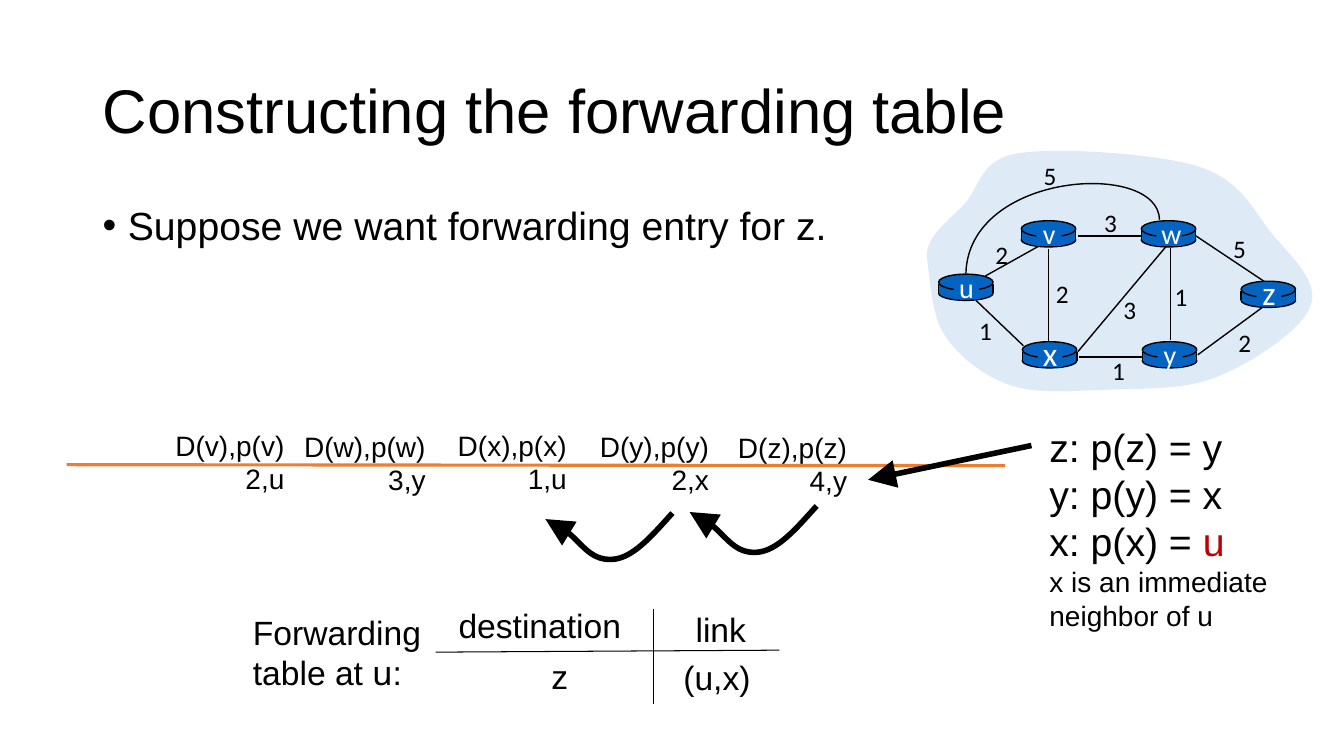
from lxml import etree
from pptx import Presentation
from pptx.dml.color import RGBColor
from pptx.enum.shapes import MSO_CONNECTOR, MSO_SHAPE
from pptx.enum.text import MSO_ANCHOR, MSO_AUTO_SIZE, PP_ALIGN
from pptx.oxml.ns import qn
from pptx.util import Inches, Pt

BLACK = RGBColor(0x00, 0x00, 0x00)
WHITE = RGBColor(0xFF, 0xFF, 0xFF)
RED = RGBColor(0xC0, 0x00, 0x00)
ORANGE = RGBColor(0xED, 0x7D, 0x31)
ROUTER_BLUE = RGBColor(0x05, 0x63, 0xC1)
CLOUD_BLUE = RGBColor(0xDE, 0xEB, 0xF7)

prs = Presentation()
prs.slide_width, prs.slide_height = Inches(13.33), Inches(7.5)
slide = prs.slides.add_slide(prs.slide_layouts[6])
shapes = slide.shapes


def style_line(s, color, width, arrow=False):
    """Set colour and width, drop the shadow, and put an arrowhead at the end."""
    s.line.color.rgb = color
    s.line.width = Pt(width)
    if arrow:
        etree.SubElement(s.line._get_or_add_ln(), qn("a:tailEnd"),
                         type="triangle", w="lg", len="lg")
    if s._element.spPr.find(qn("a:effectLst")) is None:
        etree.SubElement(s._element.spPr, qn("a:effectLst"))


def add_text(text, x, y, w, h, size, font="Arial", color=BLACK,
             align=PP_ALIGN.LEFT, wrap=False):
    tf = shapes.add_textbox(Inches(x), Inches(y), Inches(w), Inches(h)).text_frame
    tf.word_wrap = wrap
    tf.auto_size = MSO_AUTO_SIZE.NONE if wrap else MSO_AUTO_SIZE.SHAPE_TO_FIT_TEXT
    tf.text = text
    for p in tf.paragraphs:
        p.alignment = align
        for r in p.runs:
            r.font.size, r.font.name, r.font.color.rgb = Pt(size), font, color
    return tf


# Title and bullet
tf = add_text("Constructing the forwarding table", 0.92, 0.4, 11.5, 1.45, 44, wrap=True)
tf.vertical_anchor = MSO_ANCHOR.MIDDLE
tf.paragraphs[0].line_spacing = 0.9

tf = add_text("Suppose we want forwarding entry for z.", 0.92, 2, 11.5, 4.76, 28, wrap=True)
p = tf.paragraphs[0]
pPr = p._p.get_or_add_pPr()
pPr.set("marL", str(Inches(0.25)))
pPr.set("indent", str(-Inches(0.25)))
etree.SubElement(pPr, qn("a:buFont"), typeface="Arial")
etree.SubElement(pPr, qn("a:buChar"), char="•")
p.line_spacing = 0.9

# Cubic curves: start point, then two control points and an end point per piece
cloud = [
    (9.19, 2.54),
    (9.19, 2.34), (9.41, 2.19), (9.57, 2.02),
    (9.72, 1.85), (9.72, 1.58), (10.1, 1.52),
    (10.49, 1.46), (11.46, 1.52), (11.88, 1.65),
    (12.3, 1.78), (12.42, 2.07), (12.6, 2.3),
    (12.79, 2.53), (13.09, 2.79), (13, 3.03),
    (12.92, 3.27), (12.42, 3.6), (12.07, 3.74),
    (11.72, 3.88), (11.26, 3.85), (10.91, 3.87),
    (10.56, 3.88), (10.25, 3.91), (9.99, 3.81),
    (9.74, 3.72), (9.5, 3.53), (9.36, 3.31),
    (9.23, 3.1), (9.22, 2.7), (9.19, 2.54),
]
link_uw = [(11.5, 2.18), (11.49, 1.59), (9.61, 1.7), (9.58, 2.71)]
z_to_y = [(8.1, 5.02), (7.9, 5.24), (7.71, 5.47), (7.5, 5.48),
          (7.29, 5.49), (7.05, 5.13), (6.84, 5.08)]
y_to_x = [(x - 1.43, y + 0.07) for x, y in z_to_y]

for curve, width in [(cloud, 0), (link_uw, 1), (z_to_y, 4), (y_to_x, 4)]:
    start, *points = [(Inches(x), Inches(y)) for x, y in curve]
    builder = shapes.build_freeform(*start, scale=1.0)
    builder.add_line_segments(points, close=curve is cloud)
    s = builder.convert_to_shape()
    # Each three straight segments become one Bezier piece
    segments = list(s._element.iter(qn("a:lnTo")))
    for i in range(0, len(segments), 3):
        bezier = etree.Element(qn("a:cubicBezTo"))
        segments[i].addprevious(bezier)
        for segment in segments[i:i + 3]:
            bezier.append(segment[0])
            segment.getparent().remove(segment)
    s.shadow.inherit = False
    if curve is cloud:
        s.fill.solid()
        s.fill.fore_color.rgb = CLOUD_BLUE
        s.line.fill.background()
    else:
        s.fill.background()
        style_line(s, BLACK, width, arrow=width == 4)

# Straight lines: network links, distance rule, pointer, forwarding table
links = [
    (9.77, 2.74, 10.36, 2.41), (11.61, 2.46, 11.61, 3.37), (10.4, 2.47, 10.4, 3.4),
    (10.69, 3.49, 11.57, 2.44), (11.88, 3.52, 12.52, 3.05), (11.34, 3.54, 10.7, 3.54),
    (10.15, 3.43, 9.68, 2.98), (11.33, 2.34, 10.69, 2.34), (12.55, 2.8, 11.86, 2.34),
]
lines = [(link, BLACK, 1, False) for link in links] + [
    ((0.66, 4.61, 9.97, 4.62), ORANGE, 2.25, False),
    ((10.23, 4.42, 8.61, 4.76), BLACK, 4, True),
    ((6.48, 6.04, 6.48, 6.98), BLACK, 0.75, False),
    ((4.32, 6.47, 7.73, 6.45), BLACK, 0.75, False),
]
for ends, color, width, arrow in lines:
    s = shapes.add_connector(MSO_CONNECTOR.STRAIGHT, *map(Inches, ends))
    style_line(s, color, width, arrow)

# Routers
ROUTER_W = 0.54
routers = [("u", 9.31, 2.72, 20), ("x", 10.14, 3.39, 24), ("v", 10.13, 2.19, 20),
           ("w", 11.32, 2.19, 20), ("y", 11.33, 3.39, 20), ("z", 12.31, 2.79, 24)]
for name, x, y, size in routers:
    parts = [
        (MSO_SHAPE.OVAL, x, y + 0.12, ROUTER_W, 0.14),
        (MSO_SHAPE.RECTANGLE, x, y + 0.1, ROUTER_W, 0.09),
        (MSO_SHAPE.OVAL, x, y, ROUTER_W, 0.16),
        (MSO_SHAPE.RECTANGLE, x + 0.15, y + 0.02, 0.25, 0.23),
    ]
    for kind, *box in parts:
        s = shapes.add_shape(kind, *map(Inches, box))
        s.shadow.inherit = False
        s.fill.solid()
        s.fill.fore_color.rgb = ROUTER_BLUE
        if kind == MSO_SHAPE.OVAL:
            style_line(s, BLACK, 1)
        else:
            s.line.fill.background()
    for side in (x, x + ROUTER_W):
        s = shapes.add_connector(MSO_CONNECTOR.STRAIGHT, Inches(side), Inches(y + 0.1),
                                 Inches(side), Inches(y + 0.19))
        style_line(s, BLACK, 1)
    rise, height = (0.09, 0.44) if size == 20 else (0.14, 0.51)
    add_text(name, x + 0.1, y - rise, 0.35, height, size, "Calibri", WHITE, PP_ALIGN.CENTER)

# Link costs
costs = [("2", 9.77, 2.33), ("2", 10.37, 2.71), ("1", 9.61, 3.08), ("3", 11.04, 2.87),
         ("1", 10.93, 3.48), ("1", 11.55, 2.74), ("2", 12.18, 3.2), ("5", 12.13, 2.27),
         ("3", 10.85, 2.01), ("5", 10.25, 1.54)]
for cost, x, y in costs:
    add_text(cost, x, y, 0.33, 0.4, 18, "Calibri", align=PP_ALIGN.CENTER)

# Distances and predecessors
distances = [("v", "2,u", 1.63, 4.2, 1.29), ("w", "3,y", 2.9, 4.21, 1.42),
             ("x", "1,u", 4.44, 4.2, 1.28), ("y", "2,x", 5.84, 4.21, 1.29),
             ("z", "4,y", 7.21, 4.22, 1.29)]
for node, value, x, y, w in distances:
    add_text(f"D({node}),p({node})\n{value}", x, y, w, 0.77, 20, align=PP_ALIGN.RIGHT)

# Tracing back from z
tf = add_text("z: p(z) = y\ny: p(y) = x\nx: p(x) = \nx is an immediate\nneighbor of u",
              10.31, 4.15, 2.46, 2.19, 28)
r = tf.paragraphs[2].add_run()
r.text = "u"
r.font.size, r.font.name, r.font.color.rgb = Pt(28), "Arial", RED
for p in tf.paragraphs[3:]:
    p.runs[0].font.size = Pt(20)

# Forwarding table
for text, x, y, w in [("z", 5.37, 6.46, 0.37), ("(u,x)", 6.68, 6.47, 0.87),
                      ("destination", 4.45, 5.95, 1.83), ("link", 6.8, 5.99, 0.71)]:
    add_text(text, x, y, w, 0.51, 24)

tf = add_text("Forwarding table at ", 2.41, 6.02, 1.99, 0.91, 24, wrap=True)
for text, font in [("u", "Noto Sans Mono"), (":", "Arial")]:
    r = tf.paragraphs[0].add_run()
    r.text = text
    r.font.size, r.font.name, r.font.color.rgb = Pt(24), font, BLACK

prs.save("out.pptx")
